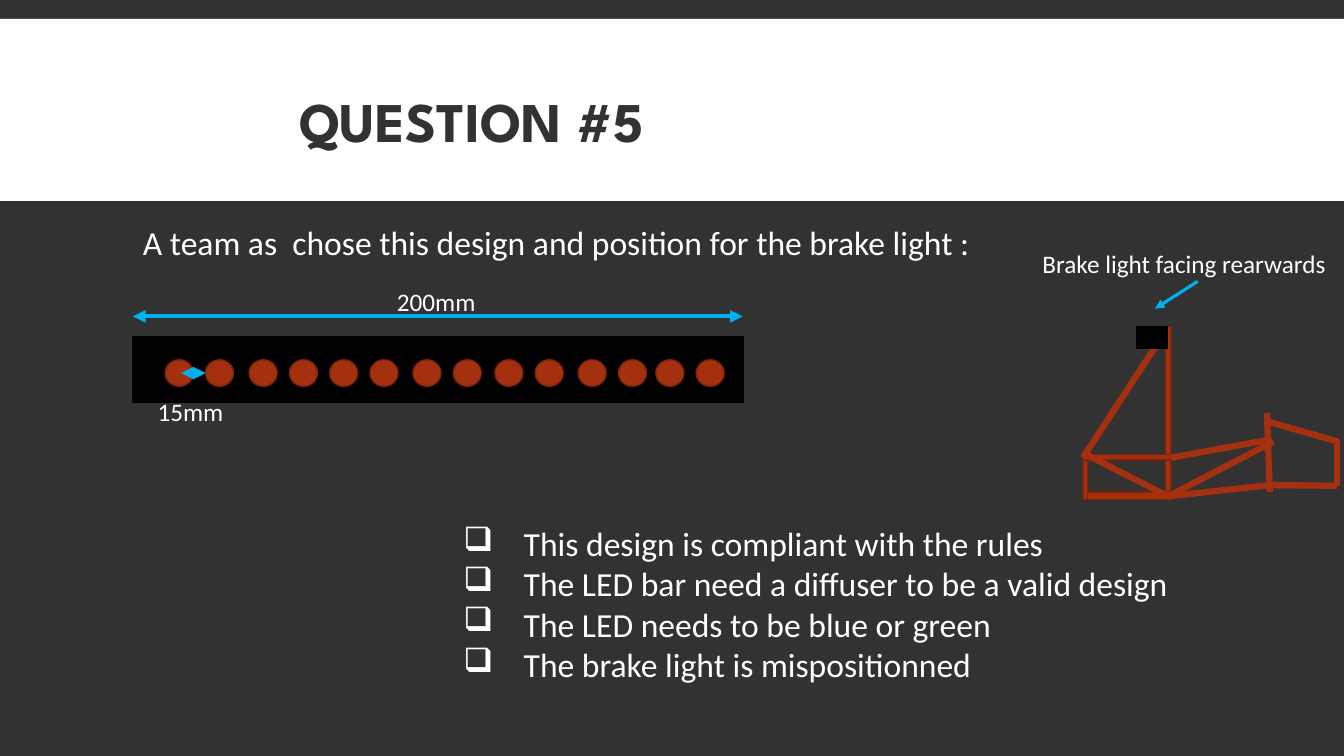
import pptx
import pptx.dml.color
import pptx.enum.shapes
import pptx.enum.text
import pptx.oxml.ns
import pptx.util
from pptx.util import Pt

COLOURS = {
    "dark": "323232",
    "white": "FFFFFF",
    "black": "000000",
    "red": "A5300F",
    "red edge": "7A240B",
    "blue": "00B0F0",
}
RECTANGLE = pptx.enum.shapes.MSO_SHAPE.RECTANGLE
OVAL = pptx.enum.shapes.MSO_SHAPE.OVAL

ANSWERS = [
    "This design is compliant with the rules",
    "The LED bar need a diffuser to be a valid design",
    "The LED needs to be blue or green",
    "The brake light is mispositionned",
]
LED_PAIR_LEFTS = [118, 178, 235.5, 295, 353.5, 413, 468.5]
LED_PITCH = 28.8
FRAME_BARS = [
    (832.5, 233.5, 4, 121),
    (774.5, 351.5, 61.5, 5.5),
    (773.5, 324.5, 3.5, 32.5),
    (773.5, 324.5, 62.5, 4),
]
FRAME_STRUTS = [
    (773.5, 327, 834.5, 233.5),
    (775.5, 324.5, 834.5, 354.5),
    (836.5, 327, 907, 314),
    (834.5, 354.5, 907, 346.5),
    (834.5, 354.5, 909.5, 315.5),
    (907, 351.5, 905, 295),
    (907, 301.5, 956, 315.5),
    (908.5, 346.5, 955, 347),
    (955, 347, 955, 314),
]


def colour(name):
    return pptx.dml.color.RGBColor.from_string(COLOURS[name])


def add_figure(page, kind, bounds, fill, edge=None):
    figure = page.shapes.add_shape(kind, *map(Pt, bounds))
    figure.shadow.inherit = False
    figure.fill.solid()
    figure.fill.fore_color.rgb = colour(fill)
    if edge:
        figure.line.color.rgb = colour(edge)
        figure.line.width = Pt(1)
    else:
        figure.line.fill.background()


def add_line(page, ends, name, width, arrowheads=()):
    """Draw a straight line; arrowheads lists headEnd (start) and tailEnd (finish)."""
    line = page.shapes.add_connector(
        pptx.enum.shapes.MSO_CONNECTOR.STRAIGHT, *map(Pt, ends))
    line.line.color.rgb = colour(name)
    line.line.width = Pt(width)
    properties = line._element.spPr
    outline = properties.find(pptx.oxml.ns.qn("a:ln"))
    for arrowhead in arrowheads:
        outline.append(outline.makeelement(
            pptx.oxml.ns.qn("a:" + arrowhead), {"type": "triangle"}))
    properties.append(properties.makeelement(pptx.oxml.ns.qn("a:effectLst"), {}))


def add_text(page, bounds, text, size, font="Calibri", name="white",
             bold=False, spacing=1.0):
    box = page.shapes.add_textbox(*map(Pt, bounds))
    frame = box.text_frame
    frame.word_wrap = True
    frame.text = text
    for para in frame.paragraphs:
        para.line_spacing = spacing
        for span in para.runs:
            span.font.name = font
            span.font.size = Pt(size)
            span.font.bold = bold
            span.font.color.rgb = colour(name)
    return frame


def add_label(page, bounds, text):
    """Add a one-line caption whose box grows with its text."""
    frame = add_text(page, bounds, text, 18)
    frame.word_wrap = False
    frame.auto_size = pptx.enum.text.MSO_AUTO_SIZE.SHAPE_TO_FIT_TEXT


def add_checkbox(para, indent):
    properties = para._p.get_or_add_pPr()
    properties.set("marL", str(Pt(indent)))
    properties.set("indent", str(-Pt(indent)))
    bullet = properties.makeelement(pptx.oxml.ns.qn("a:buChar"), {"char": "❑"})
    properties.append(bullet)


def add_led_bar(page):
    add_figure(page, RECTANGLE, (95, 240.5, 436, 47), "black", "black")
    for pair_left in LED_PAIR_LEFTS:
        for left in (pair_left, pair_left + LED_PITCH):
            add_figure(page, OVAL, (left, 257, 20, 19), "red", "red edge")
    both = ("headEnd", "tailEnd")
    add_line(page, (95, 226, 530.5, 226), "blue", 3, both)
    add_label(page, (276.5, 201, 72, 29), "200mm")
    add_line(page, (129.5, 266.5, 147, 266.5), "blue", 3, both)
    add_label(page, (105.5, 279.5, 62, 29), "15mm")


def add_car_frame(page):
    for bar in FRAME_BARS:
        add_figure(page, RECTANGLE, bar, "red", "red edge")
    for strut in FRAME_STRUTS:
        add_line(page, strut, "red", 4.5)
    add_figure(page, RECTANGLE, (812, 233.5, 22, 15), "black", "black")
    add_line(page, (855.5, 201, 825, 220.5), "blue", 2.25, ("tailEnd",))
    add_label(page, (737.5, 173.5, 224, 29), "Brake light facing rearwards")


def main():
    deck = pptx.Presentation()
    deck.slide_width, deck.slide_height = Pt(960), Pt(540)
    page = deck.slides.add_slide(deck.slide_layouts[6])
    page.background.fill.solid()
    page.background.fill.fore_color.rgb = colour("dark")

    add_figure(page, RECTANGLE, (0, 13.5, 960, 130), "white")
    title = add_text(page, (206.5, 30, 553, 119), "QUESTION #5", 40,
                     font="League Spartan", name="dark", bold=True, spacing=0.85)
    title.vertical_anchor = pptx.enum.text.MSO_ANCHOR.MIDDLE
    add_text(page, (95, 158.5, 770, 331),
             "A team as  chose this design and position for the brake light :",
             24, spacing=0.9)
    answers = add_text(page, (324, 370, 598, 145.5), "\n".join(ANSWERS), 24)
    for para in answers.paragraphs:
        add_checkbox(para, 43)

    add_led_bar(page)
    add_car_frame(page)
    deck.save("out.pptx")


if __name__ == "__main__":
    main()
